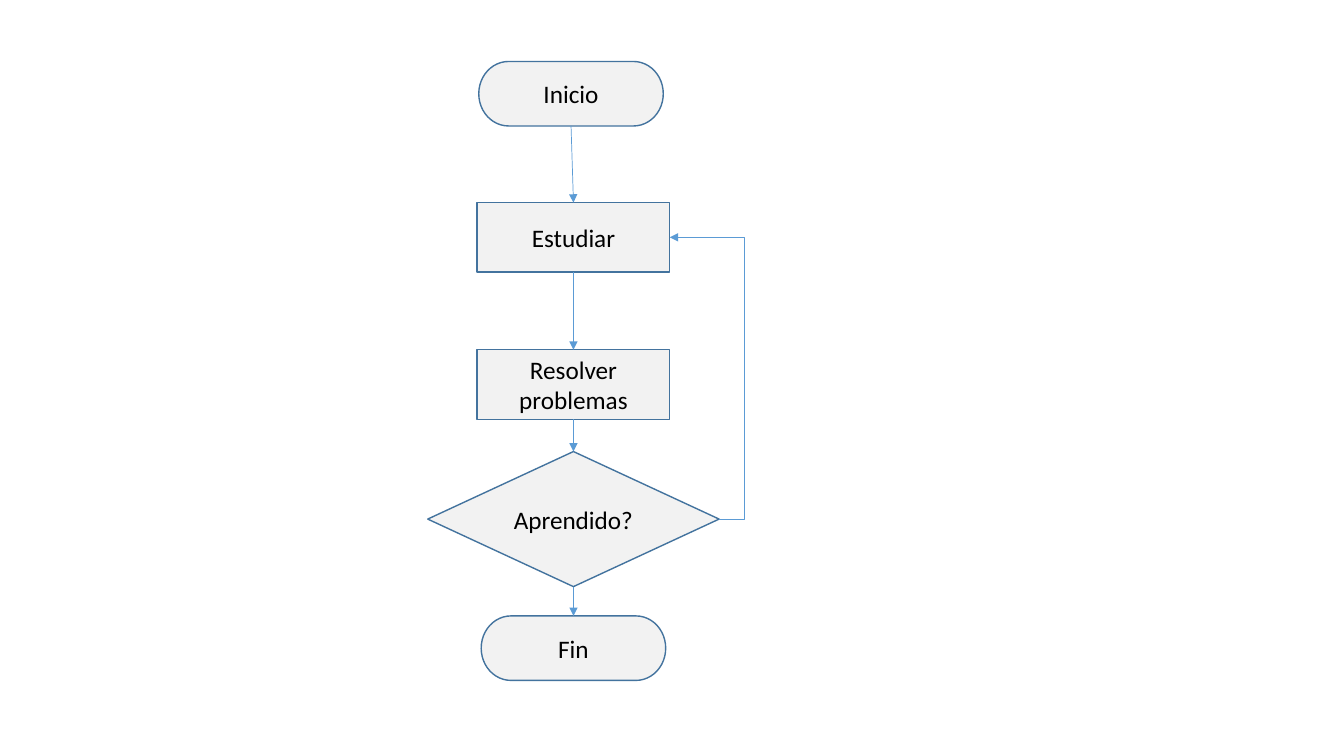
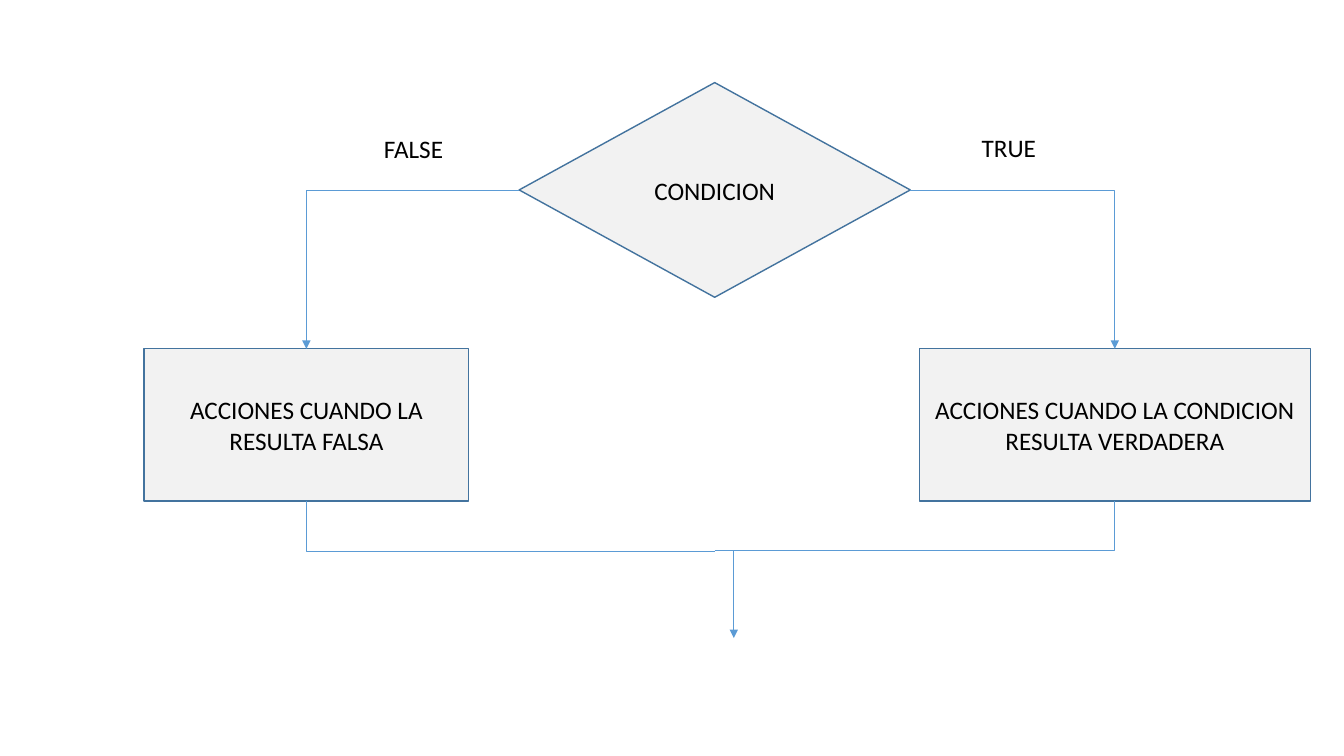
from pptx import Presentation
from pptx.dml.color import RGBColor
from pptx.enum.shapes import MSO_CONNECTOR as Connector, MSO_SHAPE as Shape
from pptx.enum.text import MSO_ANCHOR as Anchor, PP_ALIGN as Align
from pptx.oxml.ns import qn
from pptx.oxml.xmlchemy import OxmlElement
from pptx.util import Inches, Pt

TOP, LEFT, BOTTOM, RIGHT = range(4)


def color(hex_text):
    """Turn a hex string into a colour."""
    return RGBColor.from_string(hex_text)


class Flowchart:
    """Shared style and the current slide; lengths are percent of its size."""

    FONT, FONT_SIZE, INK = "Calibri", 18, "000000"
    FILL, OUTLINE, OUTLINE_WIDTH = "F2F2F2", "43739E", 1
    ARROW, ARROW_WIDTH = "5B9BD5", 0.5

    def __init__(self):
        """Start an empty widescreen presentation."""
        self.presentation = Presentation()
        self.presentation.slide_width = Inches(13.333)
        self.presentation.slide_height = Inches(7.5)
        self.slide = None

    def new_slide(self):
        """Add a blank slide and make it current."""
        layout = self.presentation.slide_layouts[6]
        self.slide = self.presentation.slides.add_slide(layout)

    def across(self, percent):
        """Convert a share of the slide's width."""
        return round(self.presentation.slide_width * percent / 100)

    def down(self, percent):
        """Convert a share of the slide's height."""
        return round(self.presentation.slide_height * percent / 100)

    def add_text(self, frame, text, align):
        """Put one styled run into a text frame."""
        paragraph = frame.paragraphs[0]
        paragraph.alignment = align
        run = paragraph.add_run()
        run.text = text
        run.font.name = self.FONT
        run.font.size = Pt(self.FONT_SIZE)
        run.font.color.rgb = color(self.INK)

    def node(self, kind, text, center, top, size):
        """Draw a flowchart step centred on a column."""
        width, height = size
        shape = self.slide.shapes.add_shape(
            kind, self.across(center - width / 2), self.down(top),
            self.across(width), self.down(height))
        shape.shadow.inherit = False
        shape.fill.solid()
        shape.fill.fore_color.rgb = color(self.FILL)
        shape.line.color.rgb = color(self.OUTLINE)
        shape.line.width = Pt(self.OUTLINE_WIDTH)
        shape.text_frame.word_wrap = True
        shape.text_frame.vertical_anchor = Anchor.MIDDLE
        self.add_text(shape.text_frame, text, Align.CENTER)
        return shape

    def label(self, text, left, top, width, height=5.33):
        """Place a free label on one line."""
        box = self.slide.shapes.add_textbox(
            self.across(left), self.down(top), self.across(width), self.down(height))
        box.text_frame.word_wrap = False
        self.add_text(box.text_frame, text, Align.LEFT)

    def point(self, end):
        """Locate an end: a (shape, side) pair or an (x, y) share."""
        target, second = end
        if isinstance(target, (int, float)):
            return self.across(target), self.down(second)
        middle_x = target.left + target.width // 2
        middle_y = target.top + target.height // 2
        return {TOP: (middle_x, target.top),
                LEFT: (target.left, middle_y),
                BOTTOM: (middle_x, target.top + target.height),
                RIGHT: (target.left + target.width, middle_y)}[second]

    def link(self, start, finish, preset=None, bend=None, arrow=True):
        """Connect two ends, glued to their shapes, straight or bent."""
        kind = Connector.ELBOW if preset else Connector.STRAIGHT
        connector = self.slide.shapes.add_connector(
            kind, *self.point(start), *self.point(finish))
        for end, glue in ((start, connector.begin_connect),
                          (finish, connector.end_connect)):
            if not isinstance(end[0], (int, float)):
                glue(*end)
        connector.line.color.rgb = color(self.ARROW)
        connector.line.width = Pt(self.ARROW_WIDTH)
        properties = connector._element.spPr
        if preset:
            geometry = properties.find(qn("a:prstGeom"))
            geometry.set("prst", preset)
            if bend is not None:
                guide = OxmlElement("a:gd")
                guide.set("name", "adj1")
                guide.set("fmla", f"val {bend}")
                geometry.find(qn("a:avLst")).append(guide)
        if arrow:
            head = OxmlElement("a:tailEnd")
            head.set("type", "triangle")
            properties.find(qn("a:ln")).append(head)
        properties.append(OxmlElement("a:effectLst"))


def study_loop(chart):
    """Build the study flow that repeats until the topic is learned."""
    chart.new_slide()
    axis, terminator, process = 42.67, (13.73, 8.53), (14.33, 9.2)
    steps = [chart.node(*step) for step in (
        (Shape.FLOWCHART_TERMINATOR, "Inicio", 42.49, 8.13, terminator),
        (Shape.RECTANGLE, "Estudiar", axis, 26.8, process),
        (Shape.RECTANGLE, "Resolver problemas", axis, 46.27, process),
        (Shape.FLOWCHART_DECISION, "Aprendido?", axis, 59.73, (21.68, 17.87)),
        (Shape.FLOWCHART_TERMINATOR, "Fin", axis, 81.47, terminator))]
    for upper, lower in zip(steps, steps[1:]):
        chart.link((upper, BOTTOM), (lower, TOP))
    study, decision = steps[1], steps[3]
    chart.link((decision, RIGHT), (study, RIGHT), "bentConnector3", bend=-51200)


def condition_branches(chart):
    """Build the two-way condition whose branches join again."""
    chart.new_slide()
    axis, join, exit_x = 53.18, 72.8, 54.6
    condition = chart.node(
        Shape.FLOWCHART_DECISION, "CONDICION", axis, 10.93, (29.1, 28.4))
    branches = (
        ("ACCIONES CUANDO LA RESULTA FALSA", 22.8, 24.15, LEFT, 72.93),
        ("ACCIONES CUANDO LA CONDICION RESULTA VERDADERA", 82.95, 29.1, RIGHT, join))
    for text, center, width, side, meeting in branches:
        actions = chart.node(
            Shape.FLOWCHART_PROCESS, text, center, 46.13, (width, 20.13))
        chart.link((condition, side), (actions, TOP), "bentConnector2")
        chart.link((axis, meeting), (actions, BOTTOM), "bentConnector2", arrow=False)
    chart.link((exit_x, join), (exit_x, 84.4))
    chart.label("TRUE", 72.3, 16.8, 5.63)
    chart.label("FALSE", 27.83, 16.93, 5.93)


flowchart = Flowchart()
study_loop(flowchart)
condition_branches(flowchart)
flowchart.presentation.save("out.pptx")
